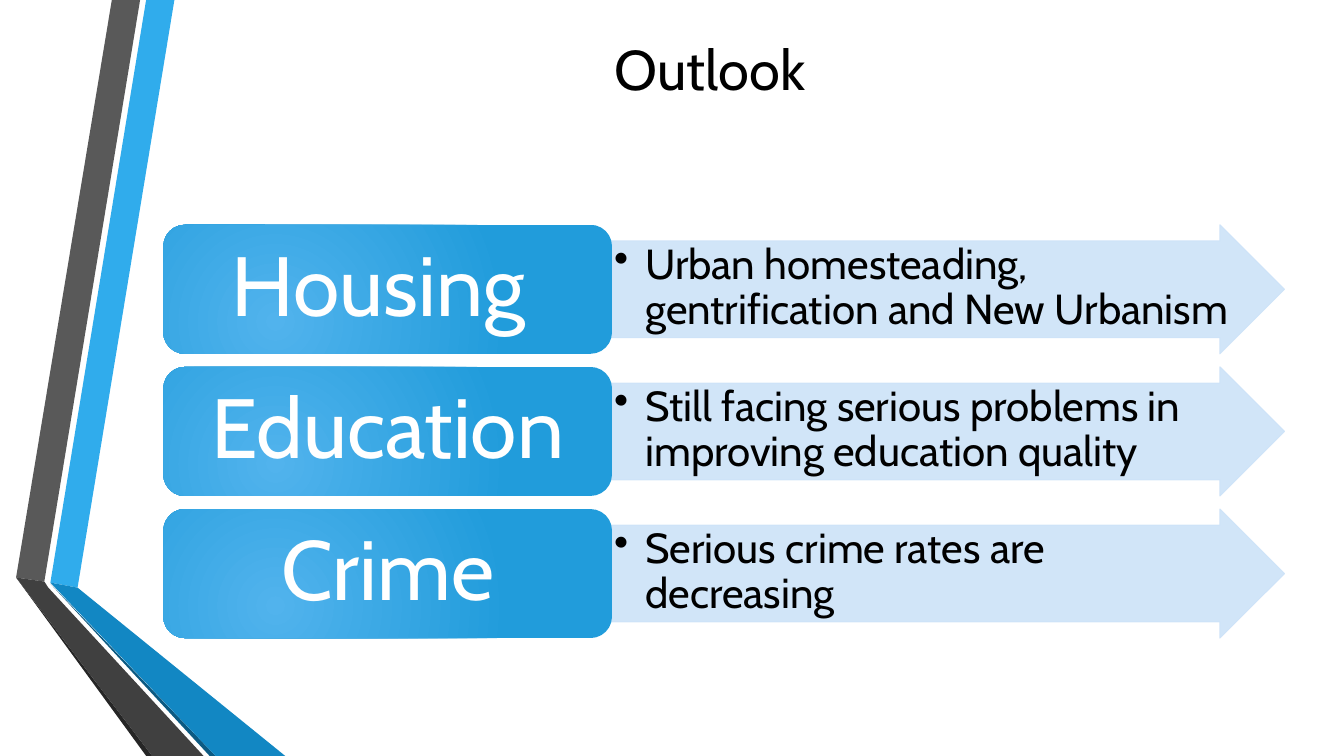
"""Build the Outlook slide: three labelled arrows beside a folded ribbon."""
import dataclasses

import pptx
import pptx.dml.color
import pptx.enum.shapes
import pptx.enum.text
import pptx.oxml
import pptx.oxml.ns
import pptx.util

Inches = pptx.util.Inches
Pt = pptx.util.Pt
SHAPE = pptx.enum.shapes.MSO_SHAPE
ALIGN = pptx.enum.text.PP_ALIGN
ANCHOR = pptx.enum.text.MSO_ANCHOR


@dataclasses.dataclass(frozen=True)
class Theme:
    """Colours, font and type sizes of the slide."""
    font: str = "Cabin"
    text: str = "000000"
    label_text: str = "FFFFFF"
    arrow: str = "CDE3F8"
    label_inner: str = "51B3ED"
    label_outer: str = "219CDB"
    blue: str = "30ACEC"
    blue_fold: str = "1287C3"
    blue_edge: str = "0C5A82"
    grey: str = "595959"
    grey_fold: str = "404040"
    grey_edge: str = "262626"
    title_size: int = 40
    label_size: int = 60
    body_size: int = 30


THEME = Theme()

RIBBON = [
    (THEME.blue, [(0.5, 5.78), (0.77, 5.83), (1.73, 0), (1.45, 0)]),
    (THEME.grey, [(1.39, 0), (1.11, 0), (0.16, 5.73), (0.44, 5.77)]),
    (THEME.grey_edge, [(0.16, 5.73), (1.45, 7.5), (1.51, 7.5)]),
    (THEME.blue_edge, [(0.5, 5.79), (2.08, 7.5), (2.14, 7.5)]),
    (THEME.blue_fold, [(0.5, 5.78), (2.14, 7.5), (2.83, 7.5), (0.77, 5.83)]),
    (THEME.grey_fold, [(2.02, 7.5), (0.48, 5.83), (0.44, 5.77), (0.16, 5.73), (1.51, 7.5)]),
]

TOPICS = [
    ("Housing ", "Urban homesteading, gentrification and New Urbanism"),
    ("Education", "Still facing serious problems in improving education quality"),
    ("Crime", "Serious crime rates are decreasing"),
]

LABEL_LEFT, LABEL_WIDTH = 1.62, 4.45
ARROW_LEFT, ARROW_WIDTH = LABEL_LEFT + LABEL_WIDTH, 6.67
BODY_WIDTH = 6.19
ROW_TOP, ROW_HEIGHT, ROW_STEP = 2.23, 1.28, 1.41
SHAFT = 0.75


def rgb(color):
    """Turn a hex string into a colour."""
    return pptx.dml.color.RGBColor.from_string(color)


def xml(tag, **attrs):
    """Make a DrawingML element with attributes."""
    el = pptx.oxml.parse_xml(f"<{tag} {pptx.oxml.ns.nsdecls('a')}/>")
    for name, value in attrs.items():
        el.set(name, str(value))
    return el


def write(shape, text, size, color, align, anchor, insets):
    """Put one formatted paragraph in a shape and return it."""
    tf = shape.text_frame
    tf.word_wrap = True
    tf.auto_size = pptx.enum.text.MSO_AUTO_SIZE.NONE
    tf.vertical_anchor = anchor
    tf.margin_left, tf.margin_top, tf.margin_right, tf.margin_bottom = map(Inches, insets)
    p = tf.paragraphs[0]
    p.text = text
    p.alignment = align
    for r in p.runs:
        r.font.name = THEME.font
        r.font.size = Pt(size)
        r.font.color.rgb = rgb(color)
    return p


def add_polygon(s, color, points):
    """Draw a closed, filled outline."""
    corners = [(Inches(x), Inches(y)) for x, y in points]
    builder = s.shapes.build_freeform(*corners[0])
    builder.add_line_segments(corners[1:], close=True)
    sp = builder.convert_to_shape()
    sp.shadow.inherit = False
    sp.fill.solid()
    sp.fill.fore_color.rgb = rgb(color)
    sp.line.fill.background()


def add_title(s, text):
    """Place and format the title."""
    sp = s.shapes.title
    sp.left, sp.top, sp.width, sp.height = map(Inches, (2.51, 0.17, 9.19, 1.02))
    write(sp, text, THEME.title_size, THEME.text, ALIGN.CENTER, ANCHOR.MIDDLE,
          (0.1, 0.05, 0.1, 0.05))


def add_arrow(s, top):
    """Draw a pale arrow."""
    sp = s.shapes.add_shape(SHAPE.RIGHT_ARROW, Inches(ARROW_LEFT), Inches(top),
                            Inches(ARROW_WIDTH), Inches(ROW_HEIGHT))
    sp.adjustments[0], sp.adjustments[1] = SHAFT, 0.5
    sp.shadow.inherit = False
    sp.line.width = Pt(0.75)
    for fill in (sp.fill, sp.line.fill):
        fill.solid()
        fill.fore_color.rgb = rgb(THEME.arrow)
    for clr in sp._element.spPr.iter(pptx.oxml.ns.qn("a:srgbClr")):
        clr.append(xml("a:alpha", val=90000))


def add_bullet(s, top, text):
    """Set one bullet on the shaft of an arrow."""
    height = ROW_HEIGHT * SHAFT
    sp = s.shapes.add_textbox(Inches(ARROW_LEFT), Inches(top + (ROW_HEIGHT - height) / 2),
                              Inches(BODY_WIDTH), Inches(height))
    p = write(sp, text, THEME.body_size, THEME.text, ALIGN.LEFT, ANCHOR.TOP,
              (0.02, 0.02, 0.02, 0.02))
    p.line_spacing = 0.9
    pPr = p._p.get_or_add_pPr()
    pPr.set("marL", str(Inches(0.31)))
    pPr.set("indent", str(-Inches(0.31)))
    pPr.append(xml("a:buChar", char="•"))


def add_label(s, top, text):
    """Draw a rounded label with a radial gradient."""
    sp = s.shapes.add_shape(SHAPE.ROUNDED_RECTANGLE, Inches(LABEL_LEFT), Inches(top),
                            Inches(LABEL_WIDTH), Inches(ROW_HEIGHT))
    sp.shadow.inherit = False
    sp.line.fill.background()
    sp.fill.gradient()
    for stop, color in zip(sp.fill.gradient_stops, (THEME.label_inner, THEME.label_outer)):
        stop.color.rgb = rgb(color)
    sp.fill.gradient_stops[0].position = 0
    sp.fill.gradient_stops[1].position = 1
    lin = sp._element.spPr.find(".//" + pptx.oxml.ns.qn("a:lin"))
    radial = xml("a:path")
    radial.set("path", "circle")
    radial.append(xml("a:fillToRect", l=50000, t=100000, r=100000, b=50000))
    lin.getparent().replace(lin, radial)
    p = write(sp, text, THEME.label_size, THEME.label_text, ALIGN.CENTER, ANCHOR.MIDDLE,
              (0.25, 0.12, 0.25, 0.12))
    p.line_spacing = 0.9


def main():
    """Assemble and save the slide."""
    prs = pptx.Presentation()
    prs.slide_width, prs.slide_height = Inches(13.33), Inches(7.5)
    s = prs.slides.add_slide(prs.slide_layouts[5])
    for color, points in RIBBON:
        add_polygon(s, color, points)
    add_title(s, "Outlook ")
    for i, (label, outlook) in enumerate(TOPICS):
        top = ROW_TOP + i * ROW_STEP
        add_arrow(s, top)
        add_bullet(s, top, outlook)
        add_label(s, top, label)
    prs.save("out.pptx")


if __name__ == "__main__":
    main()
